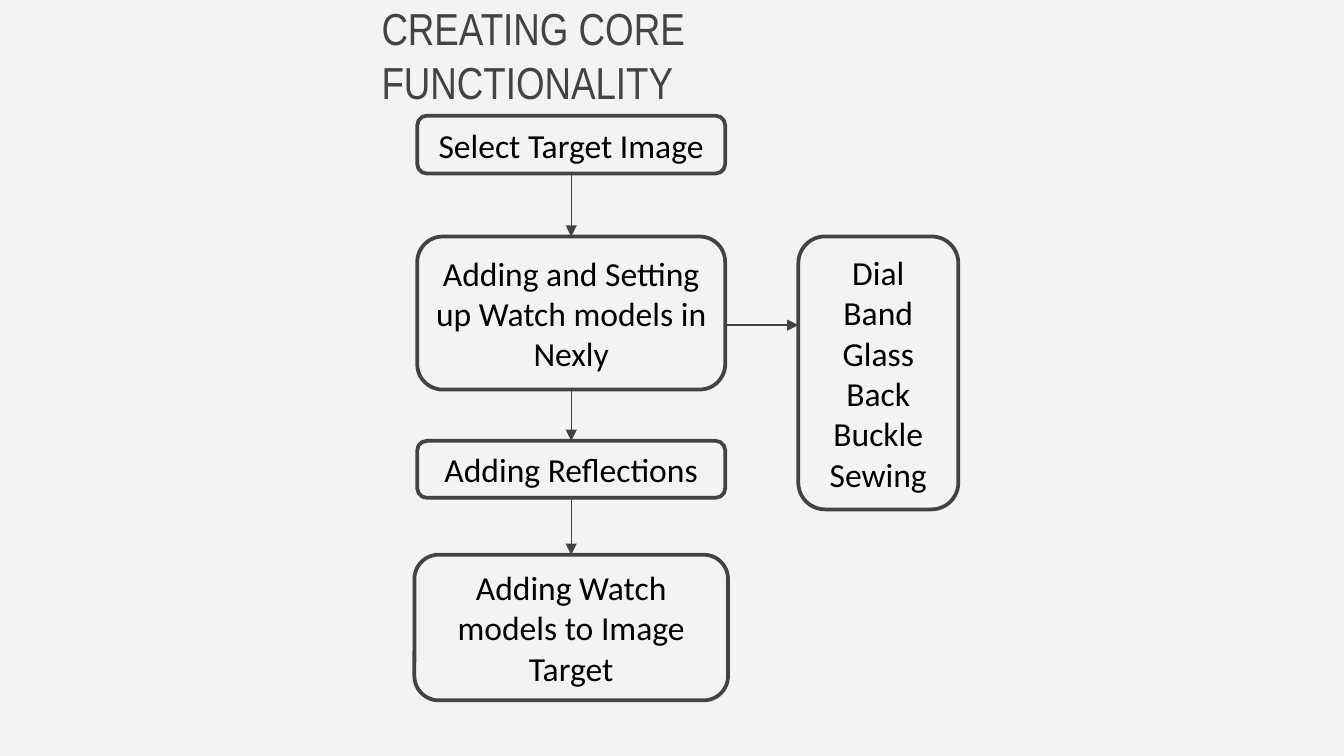
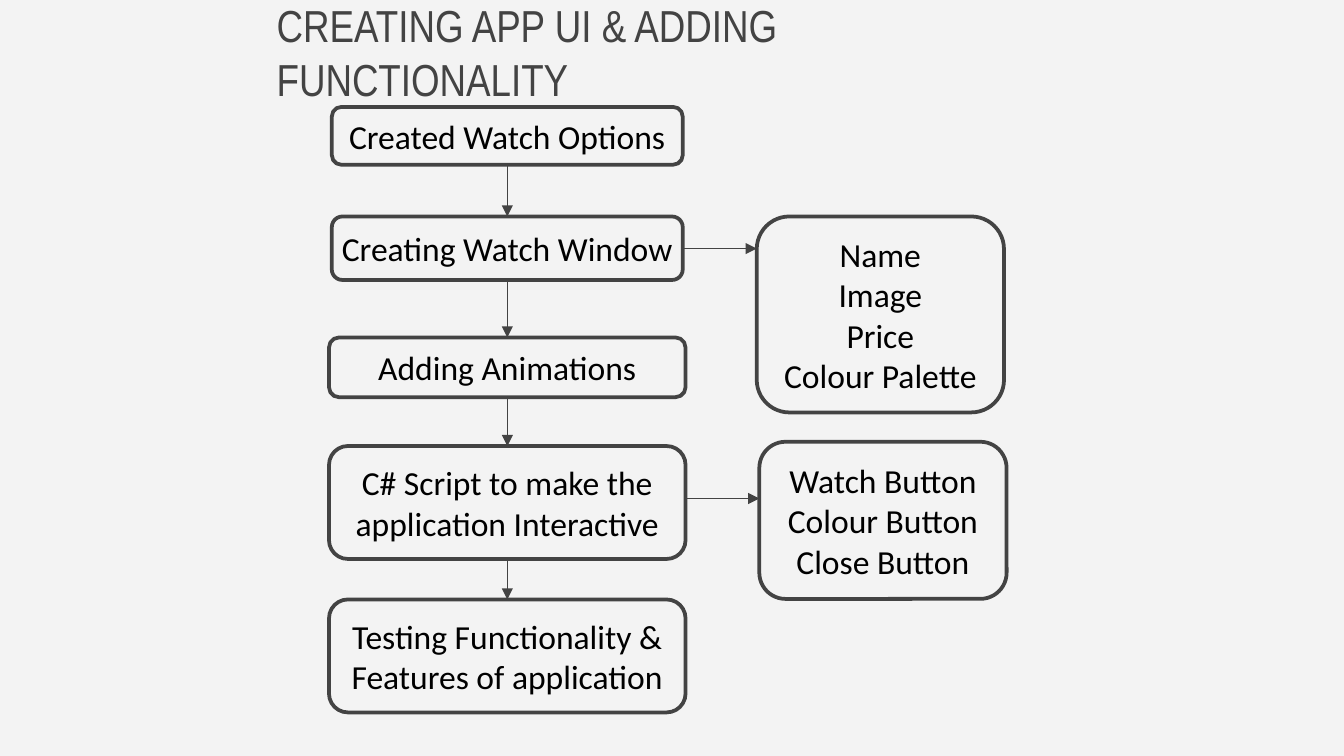
import pptx
import pptx.dml.color
import pptx.enum.shapes
import pptx.enum.text
import pptx.oxml
import pptx.oxml.ns
import pptx.util

Pt = pptx.util.Pt
PP_ALIGN = pptx.enum.text.PP_ALIGN
ANCHOR = pptx.enum.text.MSO_ANCHOR

SLIDE_WIDTH, SLIDE_HEIGHT = 720, 405
COLOURS = {"paper": "F3F3F3", "ink": "434343", "text": "000000"}
BOX_LINE, ARROW_LINE = 2, 0.75
TITLE_HEIGHT = 58

TITLE_FONT = {"name": "Arial Narrow", "size": Pt(24)}
BOX_FONT = {"name": "Calibri", "size": Pt(18)}

# title: text, left, top, width
# steps: text, top, width, height, all centred on the column
# details: step they belong to, lines, left, top, width, height, arrow height
FLOWS = [
    {
        "title": ("CREATING CORE FUNCTIONALITY", 197.3, 0.5, 327.6),
        "column": 306,
        "padding": 6,
        "steps": [
            ("Select Target Image", 62, 165, 31),
            ("Adding and Setting up Watch models in Nexly", 126.7, 165, 82),
            ("Adding Reflections", 236.2, 165, 30.5),
            ("Adding Watch models to Image Target", 297.2, 168, 78),
        ],
        "details": [
            (1, ["Dial", "Band", "Glass", "Back", "Buckle", "Sewing"],
             427.7, 126.7, 85.7, 146.2, 174.2),
        ],
    },
    {
        "title": ("CREATING APP UI & ADDING FUNCTIONALITY", 141.1, -1, 437.8),
        "column": 271.8,
        "padding": 2,
        "steps": [
            ("Created Watch Options", 57.3, 188, 31),
            ("Creating Watch Window", 116, 188, 34),
            ("Adding Animations", 180.8, 191, 32),
            ("C# Script to make the application Interactive", 239, 191, 60.5),
            ("Testing Functionality & Features of application", 321.2, 191, 60.5),
        ],
        "details": [
            (1, ["Name", "Image", "Price", "Colour Palette"],
             405.4, 116, 132.5, 105, 133.2),
            (3, ["Watch Button", "Colour Button", "Close Button"],
             406.8, 236.7, 132.5, 84.2, 267.1),
        ],
    },
]


def colour(name):
    return pptx.dml.color.RGBColor.from_string(COLOURS[name])


def apply(target, settings):
    for attribute, value in settings.items():
        setattr(target, attribute, value)


def write(frame, lines, font, ink, align, layout):
    apply(frame, {"word_wrap": True, "margin_top": 0, "margin_bottom": 0, **layout})
    for index, line in enumerate(lines):
        paragraph = frame.add_paragraph() if index else frame.paragraphs[0]
        paragraph.text = line
        paragraph.alignment = align
        apply(paragraph.font, font)
        paragraph.font.color.rgb = colour(ink)


def add_title(slide, text, left, top, width):
    title = slide.shapes.add_textbox(Pt(left), Pt(top), Pt(width), Pt(TITLE_HEIGHT))
    write(title.text_frame, [text], TITLE_FONT, "ink", PP_ALIGN.LEFT,
          {"vertical_anchor": ANCHOR.TOP})


def add_box(slide, lines, left, top, width, height, padding):
    box = slide.shapes.add_shape(
        pptx.enum.shapes.MSO_SHAPE.ROUNDED_RECTANGLE,
        Pt(left), Pt(top), Pt(width), Pt(height))
    box.shadow.inherit = False
    box.fill.solid()
    box.fill.fore_color.rgb = colour("paper")
    box.line.color.rgb = colour("ink")
    box.line.width = Pt(BOX_LINE)
    write(box.text_frame, lines, BOX_FONT, "text", PP_ALIGN.CENTER,
          {"vertical_anchor": ANCHOR.MIDDLE,
           "margin_left": Pt(padding), "margin_right": Pt(padding)})
    return box


def add_arrow(slide, x1, y1, x2, y2):
    arrow = slide.shapes.add_connector(
        pptx.enum.shapes.MSO_CONNECTOR.STRAIGHT, x1, y1, x2, y2)
    arrow.line.color.rgb = colour("ink")
    arrow.line.width = Pt(ARROW_LINE)
    head = pptx.oxml.parse_xml(
        f'<a:tailEnd {pptx.oxml.ns.nsdecls("a")} type="triangle"/>')
    arrow.line._get_or_add_ln().append(head)
    arrow._element.spPr.append(
        pptx.oxml.parse_xml(f'<a:effectLst {pptx.oxml.ns.nsdecls("a")}/>'))
    return arrow


def add_flow(slide, flow):
    column, padding = flow["column"], flow["padding"]
    steps = [add_box(slide, [text], column - width / 2, top, width, height, padding)
             for text, top, width, height in flow["steps"]]
    for upper, lower in zip(steps, steps[1:]):
        arrow = add_arrow(slide, Pt(column), upper.top + upper.height,
                          Pt(column), lower.top)
        arrow.begin_connect(upper, 2)
        arrow.end_connect(lower, 0)
    for owner, lines, left, top, width, height, level in flow["details"]:
        add_box(slide, lines, left, top, width, height, padding)
        step = steps[owner]
        add_arrow(slide, step.left + step.width, Pt(level), Pt(left), Pt(level))


def main():
    deck = pptx.Presentation()
    deck.slide_width, deck.slide_height = Pt(SLIDE_WIDTH), Pt(SLIDE_HEIGHT)
    for flow in FLOWS:
        slide = deck.slides.add_slide(deck.slide_layouts[6])
        slide.background.fill.solid()
        slide.background.fill.fore_color.rgb = colour("paper")
        add_flow(slide, flow)
        add_title(slide, *flow["title"])
    deck.save("out.pptx")


if __name__ == "__main__":
    main()
